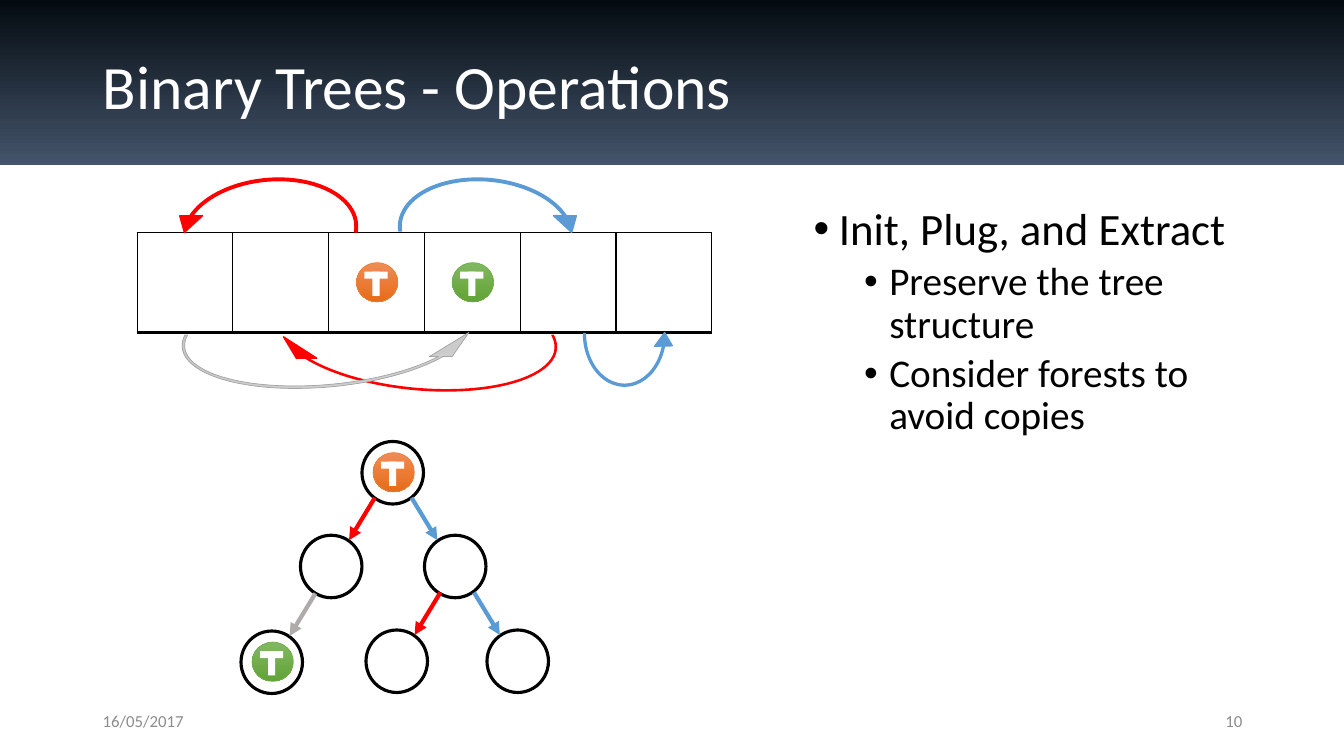
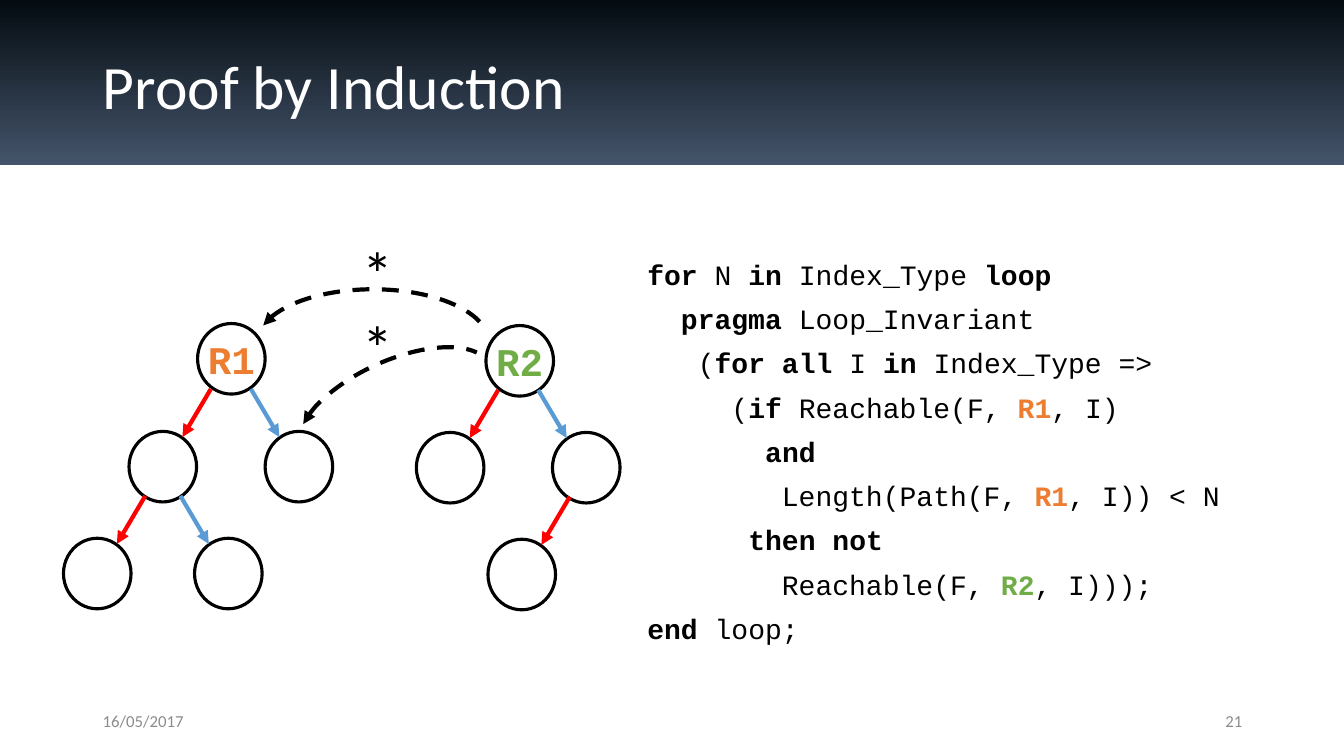
import dataclasses

import pptx
import pptx.dml.color
import pptx.enum.dml
import pptx.enum.shapes
import pptx.enum.text
import pptx.oxml
import pptx.oxml.ns
import pptx.util

SHAPE = pptx.enum.shapes.MSO_SHAPE
ALIGN = pptx.enum.text.PP_ALIGN
ANCHOR = pptx.enum.text.MSO_ANCHOR
SCALE = 9144  # EMU in one px, so 100 px make an inch


@dataclasses.dataclass(frozen=True)
class Theme:
    sans: str = "Calibri"
    mono: str = "Courier New"
    black: str = "000000"
    white: str = "FFFFFF"
    red: str = "FF0000"
    blue: str = "5B9BD5"
    grey: str = "AFABAB"
    rim: str = "A5A5A5"
    orange: str = "ED7D31"
    green: str = "70AD47"
    mute: str = "8C8C8C"
    band: tuple = ("040B11", "44546A")
    amber: tuple = ("F18C57", "E56C19")
    leaf: tuple = ("81B861", "62A336")
    silver: tuple = ("D2D2D2", "C0C0C0")
    title: int = 44
    points: tuple = (32, 28)
    label: int = 28
    code: int = 20
    small: int = 12


T = Theme()


def px(*nums):
    return [pptx.util.Emu(round(n * SCALE)) for n in nums]


def rgb(code):
    return pptx.dml.color.RGBColor.from_string(code)


def apply(item, **values):
    for key, value in values.items():
        setattr(item, key, value)


def style(font, size, color=T.black, name=T.sans, bold=False):
    apply(font, size=pptx.util.Pt(size), name=name, bold=bold)
    font.color.rgb = rgb(color)


def place(item, box):
    apply(item, **dict(zip(("left", "top", "width", "height"), px(*box))))


def add_xml(parent, text):
    parent.append(pptx.oxml.parse_xml(
        text.replace(" ", f" {pptx.oxml.ns.nsdecls('a')} ", 1)))


def stroke(line, color, width):
    line.color.rgb = rgb(color)
    line.width = pptx.util.Pt(width)


def tip(item, end):
    """Put an arrowhead on the headEnd or tailEnd of a line."""
    ln = item.element.spPr.find(pptx.oxml.ns.qn("a:ln"))
    add_xml(ln, f'<a:{end} type="triangle"/>')


def shape(slide, kind, box, fill=None, line=None, width=1):
    """Draw a preset; fill is None, one colour or a pair running downwards."""
    item = slide.shapes.add_shape(kind, *px(*box))
    item.shadow.inherit = False
    if fill is None:
        item.fill.background()
    elif isinstance(fill, tuple):
        item.fill.gradient()
        item.fill.gradient_angle = 270
        for stop, color in zip(item.fill.gradient_stops, fill):
            stop.color.rgb = rgb(color)
    else:
        item.fill.solid()
        item.fill.fore_color.rgb = rgb(fill)
    if line:
        stroke(item.line, line, width)
    else:
        item.line.fill.background()
    return item


def adjust(item, values):
    for i, value in enumerate(values):
        item.adjustments[i] = value


def label(slide, box, text, size, color=T.black, align=ALIGN.LEFT):
    frame = slide.shapes.add_textbox(*px(*box)).text_frame
    apply(frame, word_wrap=True, vertical_anchor=ANCHOR.MIDDLE)
    para = frame.paragraphs[0]
    para.alignment = align
    para.text = text
    style(para.font, size, color)


def start(deck, title, number):
    slide = deck.slides.add_slide(deck.slide_layouts[1])
    head = slide.shapes.title
    place(head, (92, 40, 1150, 97))
    head.text = title
    head.text_frame.vertical_anchor = ANCHOR.MIDDLE
    para = head.text_frame.paragraphs[0]
    apply(para, alignment=ALIGN.LEFT, line_spacing=0.9)
    style(para.font, T.title, T.white)
    label(slide, (92, 695, 300, 40), "16/05/2017", T.small, T.mute)
    label(slide, (942, 695, 300, 40), number, T.small, T.mute, ALIGN.RIGHT)
    return slide


def add_band(deck, slide):
    """Move a title band to the back of the master."""
    band = shape(slide, SHAPE.RECTANGLE, (0, 0, 1333, 164), T.band)
    deck.slide_master.shapes.element.insert(2, band.element)


def open_body(slide, box):
    body = slide.placeholders[1]
    place(body, box)
    frame = body.text_frame
    apply(frame, word_wrap=True, vertical_anchor=ANCHOR.TOP,
          auto_size=pptx.enum.text.MSO_AUTO_SIZE.NONE)
    return frame


def next_para(frame, i, gap):
    para = frame.add_paragraph() if i else frame.paragraphs[0]
    apply(para, alignment=ALIGN.LEFT, line_spacing=0.9,
          space_before=pptx.util.Pt(gap if i else 0))
    return para


def indent(para, left, hang):
    props = para._p.get_or_add_pPr()
    for key, value in zip(("marL", "indent"), px(left, -hang)):
        props.set(key, str(value))
    return props


def bullets(slide, box, items):
    frame = open_body(slide, box)
    for i, (level, text) in enumerate(items):
        para = next_para(frame, i, 10 - 5 * level)
        para.level = level
        props = indent(para, 25 + 50 * level, 25)
        add_xml(props, '<a:buFont typeface="Arial"/>')
        add_xml(props, '<a:buChar char="•"/>')
        para.text = text
        style(para.font, T.points[level])


def listing(slide, box, lines):
    """Write code in which stars enclose the bold parts."""
    frame = open_body(slide, box)
    hues = {"R1": T.orange, "R2": T.green}
    for i, line in enumerate(lines):
        para = next_para(frame, i, 10)
        add_xml(indent(para, 0, 0), "<a:buNone />")
        for j, part in enumerate(line.split("*")):
            if part:
                run = para.add_run()
                run.text = part
                style(run.font, T.code, hues.get(part, T.black), T.mono,
                      j % 2 == 1)


def badge(slide, x, y, fill, line):
    """Draw a round T badge centred on a point."""
    left, top = x - 20, y - 20
    shape(slide, SHAPE.OVAL, (left, top, 41, 39), fill, line, 0.5)
    for box in ((8, 9, 23, 7), (16, 9, 7, 24)):
        shape(slide, SHAPE.RECTANGLE,
              (left + box[0], top + box[1], *box[2:]), T.white)


def tree(slide, x, y, size, nodes, root="", color=T.black):
    """Draw (x, y, edge colour) nodes; a blue edge leads to the right."""
    wide, high = size
    for i, (dx, dy, _) in enumerate(nodes):
        node = shape(slide, SHAPE.OVAL, (x + dx, y + dy, wide, high),
                     T.white, T.black, 2.25)
        if root and i == 0:
            frame = node.text_frame
            apply(frame, word_wrap=False, margin_left=0, margin_right=0,
                  vertical_anchor=ANCHOR.MIDDLE)
            para = frame.paragraphs[0]
            para.alignment = ALIGN.CENTER
            para.text = root
            style(para.font, T.label, color, T.mono, True)
    for dx, dy, hue in nodes:
        if hue:
            side = 1 if hue == T.blue else -1
            end_x = x + dx + wide * (0.5 - 0.29 * side)
            end_y = y + dy + high * 0.08
            edge = slide.shapes.add_connector(
                pptx.enum.shapes.MSO_CONNECTOR.STRAIGHT,
                *px(end_x - 0.42 * wide * side, end_y - 0.68 * high,
                    end_x, end_y))
            stroke(edge.line, hue, 3)
            tip(edge, "tailEnd")
            add_xml(edge.element.spPr, "<a:effectLst />")


def cells(slide, x, y, count, wide, high):
    grid = slide.shapes.add_table(
        1, count, *px(x, y, count * wide, high)).table
    apply(grid, first_row=False, horz_banding=False)
    for cell in grid.iter_cells():
        props = cell._tc.get_or_add_tcPr()
        for side, width in (("L", 1), ("R", 1), ("T", 1), ("B", 2)):
            add_xml(props, f'<a:ln{side} w="{pptx.util.Pt(width)}"><a:solidFill>'
                    f'<a:srgbClr val="{T.black}"/></a:solidFill></a:ln{side}>')
        cell.fill.background()


def array(slide, x, y):
    """Draw the row of cells with its curved links and badges."""
    wide, high = 95, 99
    cells(slide, x, y, 6, wide, high)
    left = (0.02, 7.15, 205.82, 104.62, 0.09)
    right = (0.02, 7.15, 205.82, 105.06, 0.09)
    low = (0.01, 6.59, 205.81, 104.62, 0.08)
    loop = (0.02, 11.42, 205.39, 108, 0.09)
    links = (
        ((435, 40, 97, 120), 0, "V", loop, T.blue, T.blue, 1),
        ((131, 39, 295, 126), 5.5, "HV", low, T.red, T.red, 1),
        ((35, -64, 194, 126), 354.5, "H", left, T.red, T.red, 1),
        ((249, -64, 194, 126), 5.5, "", right, T.blue, T.blue, 1),
        ((34, 37, 310, 126), 354.5, "V", right, T.silver, T.rim, 0.5),
    )
    for (dx, dy, *size), turn, flips, values, fill, line, width in links:
        link = shape(slide, SHAPE.CIRCULAR_ARROW, (x + dx, y + dy, *size),
                     fill, line, width)
        adjust(link, values)
        link.rotation = turn
        for flip in flips:
            link.element.spPr.xfrm.set("flip" + flip, "1")
    for col, fill, line in ((2, T.amber, T.orange), (3, T.leaf, T.green)):
        badge(slide, x + (col + 0.5) * wide, y + high / 2, fill, line)


def route(slide, box, turn, begin, star):
    """Draw a dashed arc and the star above it."""
    arc = shape(slide, SHAPE.ARC, box, None, T.black, 3)
    adjust(arc, (begin, 210.2))
    arc.rotation = turn
    arc.line.dash_style = pptx.enum.dml.MSO_LINE.DASH
    tip(arc, "headEnd")
    label(slide, (box[0] + star[0], box[1] + star[1], 51, 84), "*", T.title,
          align=ALIGN.CENTER)


def show_trees(deck):
    slide = start(deck, "Binary Trees - Operations", "10")
    add_band(deck, slide)
    bullets(slide, (797, 200, 459, 476), (
        (0, "Init, Plug, and Extract"),
        (1, "Preserve the tree structure"),
        (1, "Consider forests to avoid copies")))
    array(slide, 136, 231)
    x, y = 239, 438
    tree(slide, x, y, (61, 62), (
        (120, 0, None), (59, 93, T.red), (182, 93, T.blue),
        (0, 188, T.grey), (124, 187, T.red), (244, 187, T.blue)))
    badge(slide, x + 151, y + 31, T.amber, T.orange)
    badge(slide, x + 31, y + 219, T.leaf, T.green)


def show_proof(deck):
    slide = start(deck, "Proof by Induction", "21")
    size = (67, 70)
    tree(slide, 63, 321, size, (
        (133, 0, None), (65, 107, T.red), (200, 107, T.blue),
        (0, 213, T.red), (130, 213, T.blue)), "R1", T.orange)
    tree(slide, 413, 323, size, (
        (69, 0, None), (0, 106, T.red), (135, 106, T.blue),
        (71, 212, T.red)), "R2", T.green)
    route(slide, (255, 287, 230, 106), 0, 113.35, (94, -59))
    route(slide, (289, 358, 206, 93), 335.6, 116.56, (60, -57))
    listing(slide, (632, 254, 624, 422), (
        "*for* N *in *Index_Type *loop*",
        "  *pragma *Loop_Invariant",
        "   (*for all *I *in *Index_Type =>",
        "     (*if* Reachable(F, *R1*, I)",
        "       *and*",
        "        Length(Path(F, *R1*, I)) < N",
        "      *then not*",
        "        Reachable(F, *R2*, I)));",
        "*end* loop;"))


def main():
    deck = pptx.Presentation()
    deck.slide_width, deck.slide_height = px(1333, 750)
    show_trees(deck)
    show_proof(deck)
    deck.save("out.pptx")


if __name__ == "__main__":
    main()
